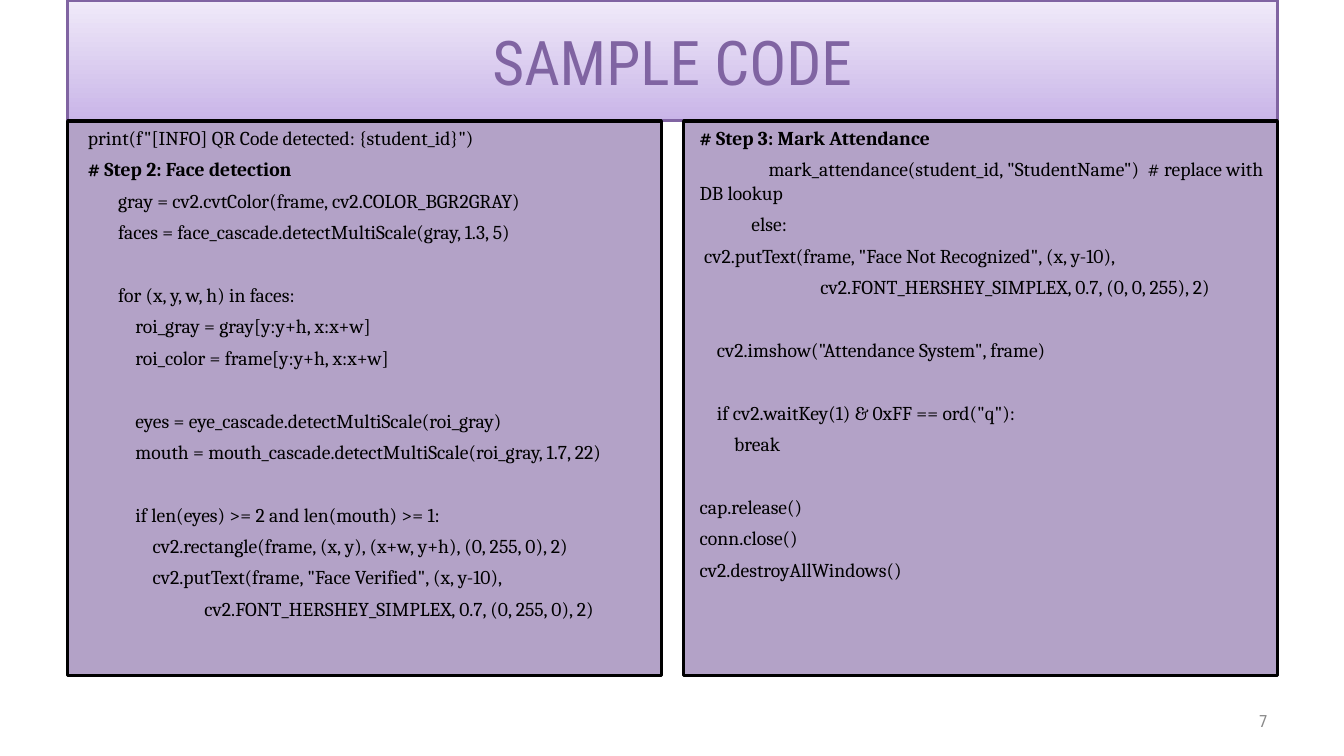
from lxml import etree
from pptx import Presentation
from pptx import util as u
from pptx.dml.color import RGBColor
from pptx.enum import text
from pptx.oxml.ns import qn

# Content: an empty line in the code stands for a wider gap
TITLE = "SAMPLE CODE"
PAGE = "7"
DETECTION = '''\
 print(f"[INFO] QR Code detected: {student_id}")
 # Step 2: Face detection
        gray = cv2.cvtColor(frame, cv2.COLOR_BGR2GRAY)
        faces = face_cascade.detectMultiScale(gray, 1.3, 5)

        for (x, y, w, h) in faces:
            roi_gray = gray[y:y+h, x:x+w]
            roi_color = frame[y:y+h, x:x+w]

            eyes = eye_cascade.detectMultiScale(roi_gray)
            mouth = mouth_cascade.detectMultiScale(roi_gray, 1.7, 22)

            if len(eyes) >= 2 and len(mouth) >= 1:
                cv2.rectangle(frame, (x, y), (x+w, y+h), (0, 255, 0), 2)
                cv2.putText(frame, "Face Verified", (x, y-10),
                            cv2.FONT_HERSHEY_SIMPLEX, 0.7, (0, 255, 0), 2)'''
ATTENDANCE = '''\
# Step 3: Mark Attendance
                mark_attendance(student_id, "StudentName")  # replace with DB lookup
            else:
 cv2.putText(frame, "Face Not Recognized", (x, y-10),
                            cv2.FONT_HERSHEY_SIMPLEX, 0.7, (0, 0, 255), 2)

    cv2.imshow("Attendance System", frame)

    if cv2.waitKey(1) & 0xFF == ord("q"):
        break

cap.release()
conn.close()
cv2.destroyAllWindows()'''

# Colours
PURPLE = RGBColor(0x80, 0x64, 0xA2)
PANEL = RGBColor(0xB3, 0xA2, 0xC7)
BLACK = RGBColor(0, 0, 0)
GREY = RGBColor(0x89, 0x89, 0x89)
BAND = [RGBColor(0xF0, 0xEA, 0xF9), RGBColor(0xC9, 0xB5, 0xE8)]

# Formats
TITLE_FONT = dict(name="Roboto Condensed", size=u.Pt(44), bold=False, color=PURPLE)
CODE_FONT = dict(name="Cambria", size=u.Pt(14), bold=False, color=BLACK)
PAGE_FONT = dict(name="Roboto Condensed", size=u.Pt(12), color=GREY)

# Layout, in inches
MARGIN, WIDTH, TITLE_H = 0.67, 12, 1.2
PANEL_W, PANEL_H = 5.89, 5.5
LINE_GAP, EMPTY_LINE_GAP = 5.6, 28


def set_font(font, formats):
    for key, value in formats.items():
        if key == "color":
            font.color.rgb = value
        else:
            setattr(font, key, value)


def place(sp, left, top, width, height):
    sp.left, sp.top = u.Inches(left), u.Inches(top)
    sp.width, sp.height = u.Inches(width), u.Inches(height)


def set_frame(tf, anchor):
    tf.word_wrap = True
    tf.auto_size = text.MSO_AUTO_SIZE.NONE
    tf.vertical_anchor = anchor


def set_outline(sp, color):
    sp.line.color.rgb = color
    sp.line.width = u.Pt(2.25)


def write_line(p, line, formats, align):
    p.text = line
    p.alignment = align
    set_font(p.runs[0].font, formats)


def write_code(tf, code):
    gap = 0
    p = tf.paragraphs[0]
    for i, line in enumerate(code.split("\n")):
        if not line:
            gap = EMPTY_LINE_GAP
            continue
        if i:
            p = tf.add_paragraph()
        pPr = p._p.get_or_add_pPr()
        pPr.set("marL", str(u.Inches(0.06)))
        pPr.set("indent", "0")
        etree.SubElement(pPr, qn("a:buNone"))
        p.space_before = u.Pt(gap)
        is_step = line.strip().startswith("#")
        write_line(p, line, {**CODE_FONT, "bold": is_step}, text.PP_ALIGN.LEFT)
        gap = LINE_GAP


prs = Presentation()
prs.slide_width, prs.slide_height = u.Inches(13.33), u.Inches(7.5)
s = prs.slides.add_slide(prs.slide_layouts[3])

# Title band
sp = s.shapes.title
place(sp, MARGIN, 0, WIDTH, TITLE_H)
sp.fill.gradient()
sp.fill.gradient_angle = 270
for stop, color in zip(sp.fill.gradient_stops, BAND):
    stop.color.rgb = color
set_outline(sp, PURPLE)
set_frame(sp.text_frame, text.MSO_ANCHOR.MIDDLE)
write_line(sp.text_frame.paragraphs[0], TITLE, TITLE_FONT, text.PP_ALIGN.CENTER)

# Code panels
for i, code in enumerate([DETECTION, ATTENDANCE]):
    sp = s.placeholders[i + 1]
    place(sp, MARGIN + i * (WIDTH - PANEL_W), TITLE_H, PANEL_W, PANEL_H)
    sp.fill.solid()
    sp.fill.fore_color.rgb = PANEL
    set_outline(sp, BLACK)
    set_frame(sp.text_frame, text.MSO_ANCHOR.TOP)
    write_code(sp.text_frame, code)

# Page number
sp = s.shapes.add_textbox(u.Inches(9.56), u.Inches(6.95), u.Inches(3.11), u.Inches(0.4))
set_frame(sp.text_frame, text.MSO_ANCHOR.MIDDLE)
write_line(sp.text_frame.paragraphs[0], PAGE, PAGE_FONT, text.PP_ALIGN.RIGHT)

prs.save("out.pptx")
